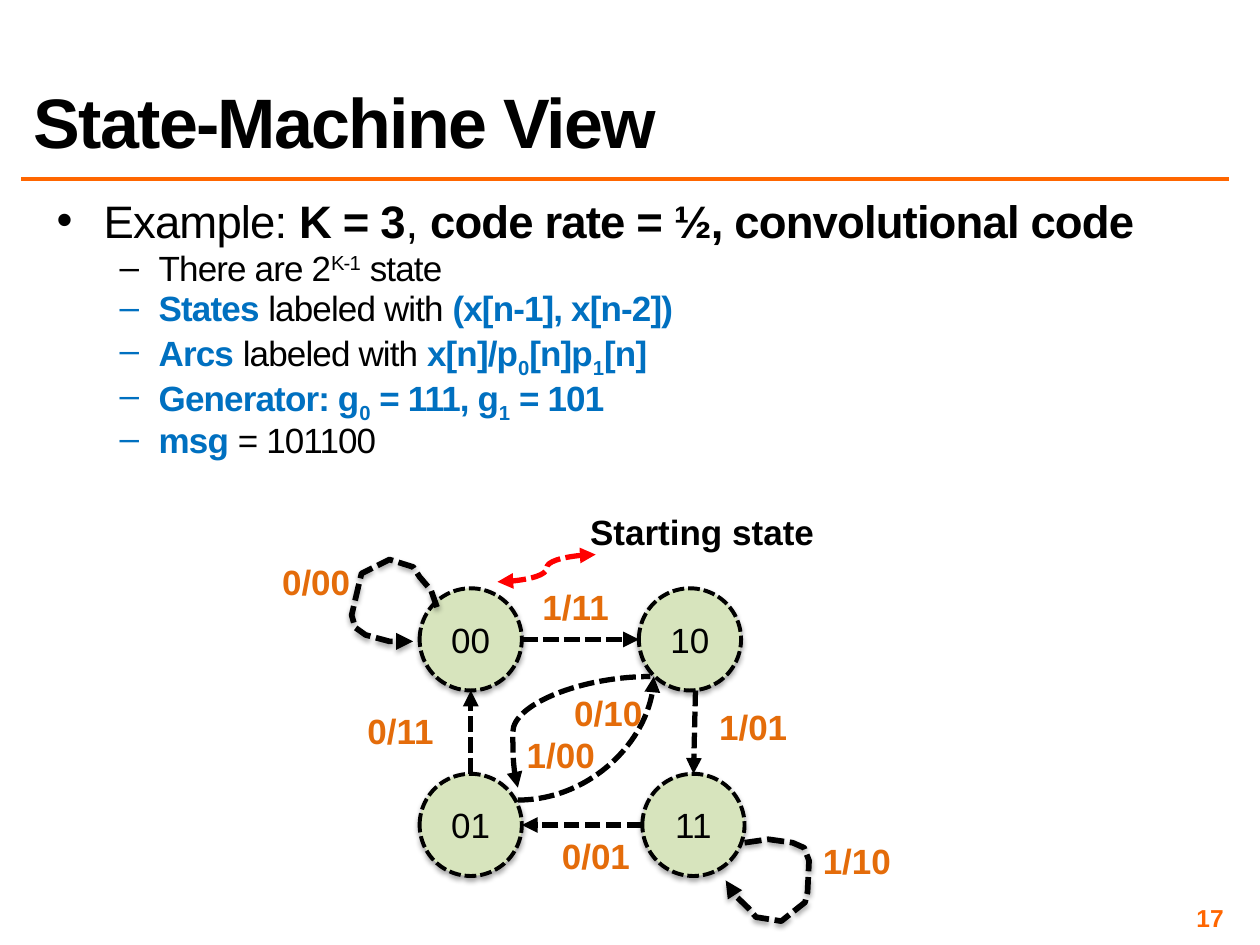
from lxml.etree import SubElement
from pptx import Presentation
from pptx.dml.color import RGBColor
from pptx.enum.dml import MSO_LINE
from pptx.enum.shapes import MSO_CONNECTOR, MSO_SHAPE
from pptx.enum.text import MSO_ANCHOR, PP_ALIGN
from pptx.oxml.ns import qn
from pptx.util import Cm, Pt

BLACK, BLUE, ORANGE, RULE_ORANGE = "000000", "0070C0", "E46C0A", "FF6600"


def format_run(run, size, color=BLACK, bold=False, spacing=0):
    run.font.name = "Arial"
    run.font.size = Pt(size)
    run.font.bold = bold
    run.font.color.rgb = RGBColor.from_string(color)
    if spacing:
        run.font._element.set("spc", str(spacing))


def draw_outline(shape, width, color=BLACK, arrows=(), dashed=True, shadow=False):
    """Set the outline, its arrowheads and the shadow (or lack of one)."""
    shape.line.color.rgb = RGBColor.from_string(color)
    shape.line.width = Pt(width)
    if dashed:
        shape.line.dash_style = MSO_LINE.SQUARE_DOT
    properties = shape._element.spPr
    for end in arrows:
        SubElement(properties.find(qn("a:ln")), qn(f"a:{end}"), type="triangle")
    effects = SubElement(properties, qn("a:effectLst"))
    if shadow:
        outer = SubElement(effects, qn("a:outerShdw"), blurRad="39370",
                           dist="22860", dir="5400000", rotWithShape="0")
        tint = SubElement(outer, qn("a:srgbClr"), val=BLACK)
        SubElement(tint, qn("a:alpha"), val="35000")


prs = Presentation()
prs.slide_width, prs.slide_height = Cm(25.4), Cm(19.05)
slide = prs.slides.add_slide(prs.slide_layouts[5])
shapes = slide.shapes

# Title, rule and page number
rule = shapes.add_connector(MSO_CONNECTOR.STRAIGHT, Cm(0.43), Cm(3.61), Cm(24.77), Cm(3.61))
draw_outline(rule, 2, RULE_ORANGE, dashed=False)

title = shapes.title
title.left, title.top, title.width, title.height = Cm(0.43), Cm(0.43), Cm(24.33), Cm(2.97)
title.text_frame.text = "State-Machine View"
title.text_frame.vertical_anchor = MSO_ANCHOR.BOTTOM
heading = title.text_frame.paragraphs[0]
heading.alignment = PP_ALIGN.LEFT
heading.line_spacing = 0.8
format_run(heading.runs[0], 40, bold=True, spacing=-100)

page_number = shapes.add_textbox(Cm(18.85), Cm(18.21), Cm(5.92), Cm(0.58)).text_frame
bullets = shapes.add_textbox(Cm(1.04), Cm(4.01), Cm(23.09), Cm(6.5)).text_frame
for frame in (page_number, bullets):
    frame.word_wrap = True
    frame.margin_left = frame.margin_right = Cm(0.1)
    frame.margin_top = frame.margin_bottom = Cm(0.1)
page_number.text = "17"
page_number.vertical_anchor = MSO_ANCHOR.MIDDLE
page_number.paragraphs[0].alignment = PP_ALIGN.RIGHT
format_run(page_number.paragraphs[0].runs[0], 14, RULE_ORANGE, True)

# Bullets: (text, colour, bold, baseline shift in thousandths of a percent)
plain, strong, key = (BLACK, False, 0), (BLACK, True, 0), (BLUE, True, 0)
superscript, subscript = (BLACK, False, 30000), (BLUE, True, -25000)
bullet_lines = [
    [("Example: ", plain), ("K = 3", strong), (", ", plain),
     ("code rate = ½, convolutional code", strong)],
    [("There are 2", plain), ("K-1", superscript), (" state", plain)],
    [("States ", key), ("labeled with ", plain), ("(x[n-1], x[n-2])", key)],
    [("Arcs ", key), ("labeled with ", plain), ("x[n]/p", key), ("0", subscript),
     ("[n]p", key), ("1", subscript), ("[n]", key)],
    [("Generator: g", key), ("0", subscript), (" = 111, g", key), ("1", subscript),
     (" = 101", key)],
    [("msg ", key), ("= 101100", plain)],
]
for index, pieces in enumerate(bullet_lines):
    level = min(index, 1)
    size, mark, margin, hanging = [(26, "•", 0.95, 0.95), (20, "–", 2.06, 0.79)][level]
    paragraph = bullets.add_paragraph() if index else bullets.paragraphs[0]
    paragraph.level = level
    paragraph.line_spacing = 0.8
    layout = paragraph._p.get_or_add_pPr()
    layout.set("marL", str(Cm(margin)))
    layout.set("indent", str(-Cm(hanging)))
    SubElement(SubElement(layout, qn("a:spcBef")), qn("a:spcPct"), val="20000")
    SubElement(layout, qn("a:buFont"), typeface="Arial")
    SubElement(layout, qn("a:buChar"), char=mark)
    for text, (color, bold, baseline) in pieces:
        run = paragraph.add_run()
        run.text = text
        format_run(run, size, color, bold, -50)
        if baseline:
            run.font._element.set("baseline", str(baseline))

# States
for name, left, top in [("00", 8.46, 11.86), ("10", 12.88, 11.86),
                        ("01", 8.46, 15.6), ("11", 12.95, 15.6)]:
    state = shapes.add_shape(MSO_SHAPE.OVAL, Cm(left), Cm(top), Cm(2.06), Cm(2.06))
    state.fill.solid()
    state.fill.fore_color.rgb = RGBColor.from_string("D7E4BD")
    draw_outline(state, 2.25, shadow=True)
    state.text_frame.text = name
    state.text_frame.vertical_anchor = MSO_ANCHOR.MIDDLE
    state.text_frame.paragraphs[0].alignment = PP_ALIGN.CENTER
    format_run(state.text_frame.paragraphs[0].runs[0], 20)

# Arcs from a state to itself
self_loops = [
    [(8.81, 12.24), (8.69, 11.9), (8.46, 11.63), (8.33, 11.43), (7.85, 11.28),
     (7.29, 11.56), (7.24, 11.76), (7.09, 12.4), (7.16, 12.65), (7.37, 12.8),
     (7.85, 12.93), (8.33, 12.93)],
    [(15.01, 16.99), (15.49, 16.92), (15.98, 16.99), (16.21, 17.09), (16.31, 17.35),
     (16.28, 17.98), (16.23, 18.19), (15.75, 18.57), (15.24, 18.49), (15.09, 18.31),
     (14.83, 18.06), (14.63, 17.75)],
]
for loop in self_loops:
    start, *rest = [(Cm(x), Cm(y)) for x, y in loop]
    builder = shapes.build_freeform(*start)
    builder.add_line_segments(rest, close=False)
    arc = builder.convert_to_shape()
    arc.fill.background()
    draw_outline(arc, 3.25, arrows=["tailEnd"], shadow=True)

# Straight arcs between states
for ends in [(10.52, 12.89, 12.88, 12.89), (14.02, 13.92, 13.98, 15.6),
             (12.95, 16.63, 10.52, 16.63), (9.49, 15.6, 9.49, 13.92)]:
    arc = shapes.add_connector(MSO_CONNECTOR.STRAIGHT, *map(Cm, ends))
    draw_outline(arc, 3, arrows=["tailEnd"])

# Curved arcs between 01 and 10, and the pointer to the starting state
for ends, preset, bend, color, arrows in [
    ((10.44, 16.13, 13.18, 13.64), "curvedConnector2", None, BLACK, ["tailEnd"]),
    ((10.44, 15.88, 13.11, 13.64), "curvedConnector3", -3800, BLACK, ["headEnd"]),
    ((12.01, 11.18, 10.03, 11.73), "curvedConnector3", 50000, "FF0000", ["headEnd", "tailEnd"]),
]:
    arc = shapes.add_connector(MSO_CONNECTOR.CURVE, *map(Cm, ends))
    geometry = arc._element.spPr.find(qn("a:prstGeom"))
    geometry.set("prst", preset)
    if bend is not None:
        SubElement(geometry.find(qn("a:avLst")), qn("a:gd"), name="adj1", fmla=f"val {bend}")
    draw_outline(arc, 3, color, arrows)

# Labels
for text, left, top, width, color in [
    ("0/00", 4.8, 11.18, 3.15, ORANGE), ("1/11", 10.03, 11.68, 3.15, ORANGE),
    ("1/01", 13.61, 14.1, 3.15, ORANGE), ("0/01", 10.44, 16.69, 3.15, ORANGE),
    ("0/11", 6.5, 14.17, 3.15, ORANGE), ("1/00", 9.73, 14.66, 3.15, ORANGE),
    ("0/10", 10.69, 13.82, 3.15, ORANGE), ("1/10", 15.7, 16.79, 3.15, ORANGE),
    ("Starting state", 11.63, 10.16, 5.05, BLACK),
]:
    label = shapes.add_textbox(Cm(left), Cm(top), Cm(width), Cm(1.12)).text_frame
    label.word_wrap = color == ORANGE
    label.text = text
    label.paragraphs[0].alignment = PP_ALIGN.CENTER
    format_run(label.paragraphs[0].runs[0], 20, color, True)

prs.save("out.pptx")
